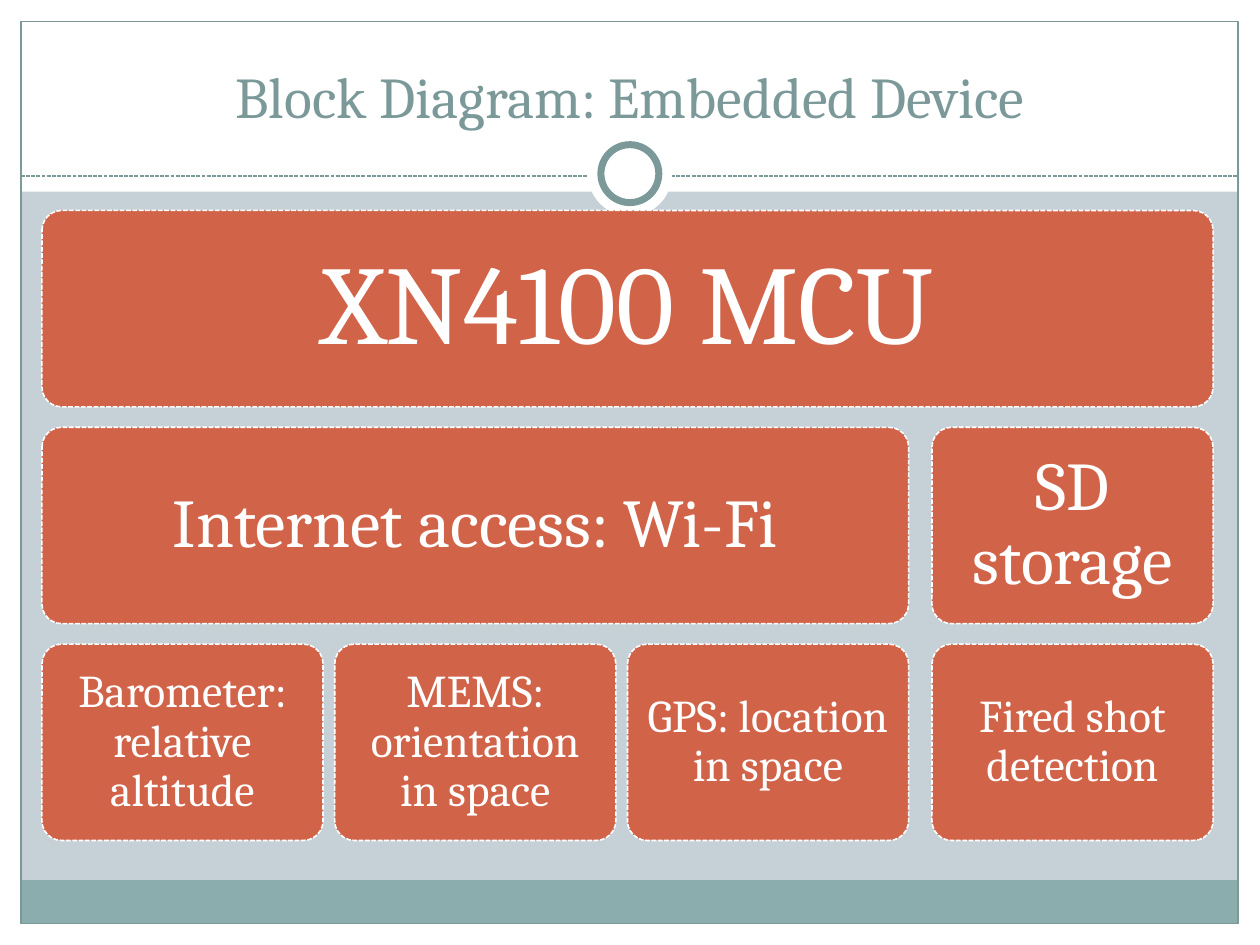
from pptx import Presentation
from pptx.dml.color import RGBColor
from pptx.enum.dml import MSO_LINE
from pptx.enum.shapes import MSO_CONNECTOR, MSO_SHAPE
from pptx.enum.text import MSO_ANCHOR, MSO_AUTO_SIZE, PP_ALIGN
from pptx.oxml.xmlchemy import OxmlElement
from pptx.util import Pt

WHITE = RGBColor(0xFF, 0xFF, 0xFF)
BACKGROUND = RGBColor(0xC5, 0xD1, 0xD7)
FOOTER = RGBColor(0x8C, 0xAD, 0xAE)
SLATE = RGBColor(0x7C, 0x99, 0x9A)
BRICK = RGBColor(0xD1, 0x63, 0x49)
FONT = "Cambria"

presentation = Presentation()
presentation.slide_width, presentation.slide_height = Pt(720), Pt(540)
slide = presentation.slides.add_slide(presentation.slide_layouts[5])
slide.background.fill.solid()
slide.background.fill.fore_color.rgb = BACKGROUND


def add_shape(kind, left, top, width, height, fill=None, line=None, weight=0.75):
    shape = slide.shapes.add_shape(kind, Pt(left), Pt(top), Pt(width), Pt(height))
    shape.shadow.inherit = False
    if fill is None:
        shape.fill.background()
    else:
        shape.fill.solid()
        shape.fill.fore_color.rgb = fill
    if line is None:
        shape.line.fill.background()
    else:
        shape.line.color.rgb = line
        shape.line.width = Pt(weight)
    return shape


def write_text(shape, text, size, color, anchor):
    frame = shape.text_frame
    frame.text = text
    frame.word_wrap = True
    frame.auto_size = MSO_AUTO_SIZE.NONE
    frame.vertical_anchor = anchor
    paragraph = frame.paragraphs[0]
    paragraph.alignment = PP_ALIGN.CENTER
    paragraph.font.name = FONT
    paragraph.font.size = Pt(size)
    paragraph.font.color.rgb = color
    return paragraph


bands = [
    (0, 528, 720, 12, WHITE),
    (0, 0, 720, 109.6, WHITE),
    (0, 0, 12, 540, WHITE),
    (708, 0, 12, 540, WHITE),
    (11.7, 503, 695.5, 24.6, FOOTER),
]
for left, top, width, height, color in bands:
    add_shape(MSO_SHAPE.RECTANGLE, left, top, width, height, color)
add_shape(MSO_SHAPE.RECTANGLE, 12, 12.2, 695.5, 515.5, line=SLATE)

divider = slide.shapes.add_connector(
    MSO_CONNECTOR.STRAIGHT, Pt(12), Pt(100.6), Pt(707.5), Pt(100.6))
divider.line.color.rgb = SLATE
divider.line.width = Pt(0.75)
divider.line.dash_style = MSO_LINE.SQUARE_DOT
divider.element.spPr.append(OxmlElement("a:effectLst"))

add_shape(MSO_SHAPE.OVAL, 336, 75.6, 48, 48, WHITE)
add_shape(MSO_SHAPE.OVAL, 343.4, 82.7, 33.1, 33.1, WHITE, SLATE, 4)

title = slide.shapes.title
title.left, title.top, title.width, title.height = Pt(24), Pt(18), Pt(672), Pt(60)
write_text(title, "Block Diagram: Embedded Device", 33, SLATE, MSO_ANCHOR.BOTTOM)
title.element.getparent().append(title.element)

column_lefts = [24, 191.3, 358.6, 532.6]
column_width = 160.6
first_row_top, row_pitch, block_height = 120.3, 123.9, 112.2
rows = [
    (64, 19.2, [("XN4100 MCU", 0, 3)]),
    (39, 11.7, [("Internet access: Wi-Fi", 0, 2), ("SD storage", 3, 3)]),
    (26, 7.8, [
        ("Barometer: relative altitude", 0, 0),
        ("MEMS: orientation in space", 1, 1),
        ("GPS: location in space", 2, 2),
        ("Fired shot detection", 3, 3),
    ]),
]
for row, (size, inset, blocks) in enumerate(rows):
    top = first_row_top + row * row_pitch
    for text, first, last in blocks:
        left = column_lefts[first]
        width = column_lefts[last] + column_width - left
        block = add_shape(MSO_SHAPE.ROUNDED_RECTANGLE, left, top, width,
                          block_height, BRICK, WHITE, 0.9)
        block.adjustments[0] = 0.1
        block.line.dash_style = MSO_LINE.SQUARE_DOT
        paragraph = write_text(block, text, size, WHITE, MSO_ANCHOR.MIDDLE)
        paragraph.line_spacing = 0.9
        frame = block.text_frame
        frame.margin_left = frame.margin_right = Pt(inset)
        frame.margin_top = frame.margin_bottom = Pt(inset)

presentation.save("out.pptx")
